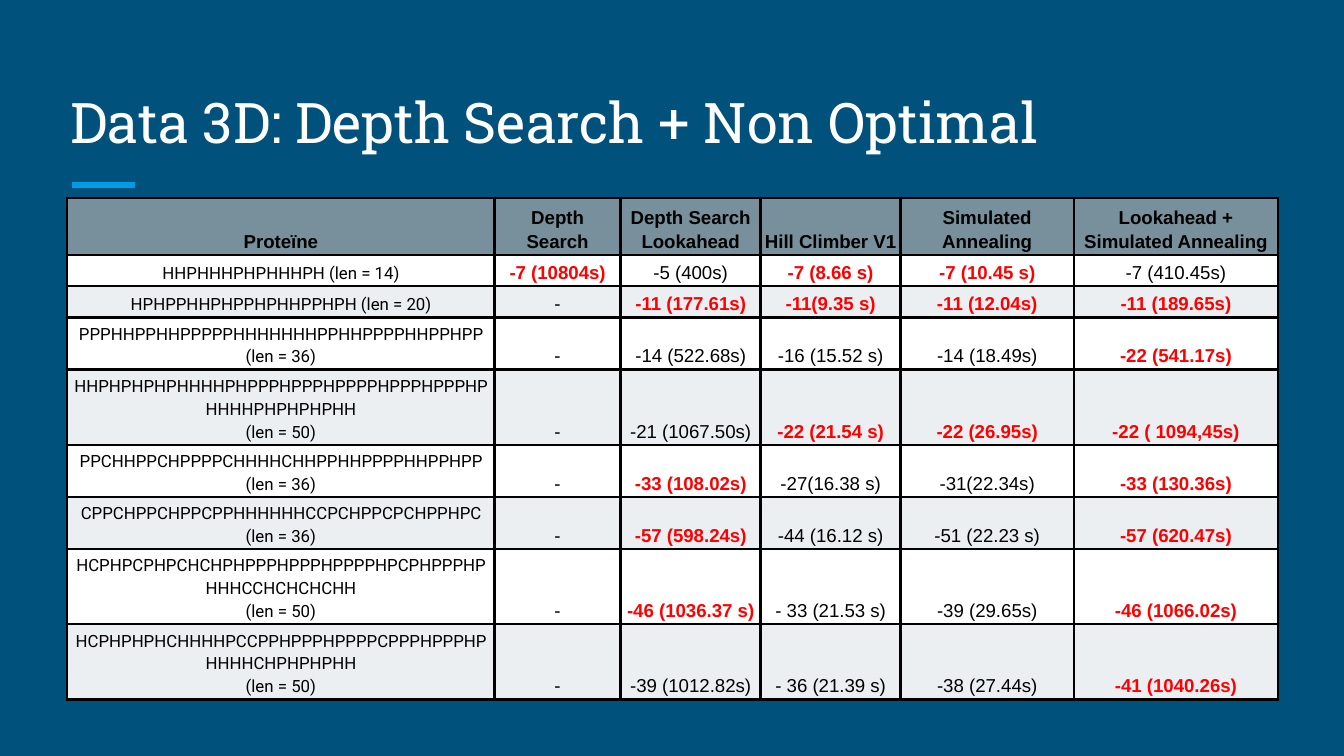
"""Build a slide with a table of 3D protein folding scores per algorithm."""
import pptx
import pptx.dml.color
import pptx.enum.shapes
import pptx.enum.text
import pptx.oxml
import pptx.oxml.ns
import pptx.util

Pt = pptx.util.Pt
COLORS = {
    "background": "00517C",
    "accent": "039BE5",
    "title": "FFFFFF",
    "header": "78909C",
    "odd": "FFFFFF",
    "even": "EBEFF1",
    "text": "000000",
    "best": "FF0000",
}
FORMATS = {
    "title": {"name": "Roboto Slab", "size": Pt(30), "bold": False},
    "header": {"name": "Arial", "size": Pt(10), "bold": True},
    "protein": {"name": "Roboto", "size": Pt(9), "bold": False},
    "score": {"name": "Arial", "size": Pt(10), "bold": False},
    "best": {"name": "Arial", "size": Pt(10), "bold": True},
}
CELL_FORMAT = {
    "margin_left": Pt(2.25),
    "margin_right": Pt(2.25),
    "margin_top": Pt(1.5),
    "margin_bottom": Pt(1.5),
    "vertical_anchor": pptx.enum.text.MSO_ANCHOR.BOTTOM,
}
TITLE_FORMAT = {
    "word_wrap": True,
    "vertical_anchor": pptx.enum.text.MSO_ANCHOR.BOTTOM,
    "margin_left": Pt(7.2),
    "margin_right": Pt(7.2),
    "margin_top": Pt(7.2),
    "margin_bottom": Pt(7.2),
}
COLUMN_WIDTHS = [228.9, 67.6, 75, 75, 92.8, 109.4]
ROW_HEIGHTS = [28, 16, 15.5, 27, 39.5, 27, 27, 39.5, 39.5]
HEADERS = ["Proteïne", "Depth Search", "Depth Search Lookahead", "Hill Climber V1",
           "Simulated Annealing", "Lookahead + Simulated Annealing"]
BEST_MARK = "*"
RESULTS = [
    ["HHPHHHPHPHHHPH (len = 14)",
     "*-7 (10804s)", "-5 (400s)", "*-7 (8.66 s)", "*-7 (10.45 s)", "-7 (410.45s)"],
    ["HPHPPHHPHPPHPHHPPHPH (len = 20)",
     "-", "*-11 (177.61s)", "*-11(9.35 s)", "*-11 (12.04s)", "*-11 (189.65s)"],
    ["PPPHHPPHHPPPPPHHHHHHHPPHHPPPPHHPPHPP\n(len = 36)",
     "-", "-14 (522.68s)", "-16 (15.52 s)", "-14 (18.49s)", "*-22 (541.17s)"],
    ["HHPHPHPHPHHHHPHPPPHPPPHPPPPHPPPHPPPHPHHHHPHPHPHPHH\n(len = 50)",
     "-", "-21 (1067.50s)", "*-22 (21.54 s)", "*-22 (26.95s)", "*-22 ( 1094,45s)"],
    ["PPCHHPPCHPPPPCHHHHCHHPPHHPPPPHHPPHPP\n(len = 36)",
     "-", "*-33 (108.02s)", "-27(16.38 s)", "-31(22.34s)", "*-33 (130.36s)"],
    ["CPPCHPPCHPPCPPHHHHHHCCPCHPPCPCHPPHPC\n(len = 36)",
     "-", "*-57 (598.24s)", "-44 (16.12 s)", "-51 (22.23 s)", "*-57 (620.47s)"],
    ["HCPHPCPHPCHCHPHPPPHPPPHPPPPHPCPHPPPHPHHHCCHCHCHCHH\n(len = 50)",
     "-", "*-46 (1036.37 s)", "- 33 (21.53 s)", "-39 (29.65s)", "*-46 (1066.02s)"],
    ["HCPHPHPHCHHHHPCCPPHPPPHPPPPCPPPHPPPHPHHHHCHPHPHPHH\n(len = 50)",
     "-", "-39 (1012.82s)", "- 36 (21.39 s)", "-38 (27.44s)", "*-41 (1040.26s)"],
]


def rgb(color):
    """Return the named color as an RGB value."""
    return pptx.dml.color.RGBColor.from_string(COLORS[color])


def apply_format(target, values):
    """Set every attribute in values on the target."""
    for attribute, value in values.items():
        setattr(target, attribute, value)


def add_title(slide, text):
    """Add the slide title."""
    shape = slide.shapes.add_textbox(Pt(30.5), Pt(36), Pt(659), Pt(54))
    apply_format(shape.text_frame, TITLE_FORMAT)
    shape.text_frame.text = text
    font = shape.text_frame.paragraphs[0].runs[0].font
    apply_format(font, FORMATS["title"])
    font.color.rgb = rgb("title")


def add_accent_line(slide):
    """Add the short line below the title."""
    line = slide.shapes.add_connector(
        pptx.enum.shapes.MSO_CONNECTOR.STRAIGHT, Pt(38.7), Pt(99.2), Pt(72.3), Pt(99.2))
    line.line.color.rgb = rgb("accent")
    line.line.width = Pt(3)
    properties = line._element.spPr
    properties.append(pptx.oxml.parse_xml(
        f'<a:effectLst {pptx.oxml.ns.nsdecls("a")}/>'))


def add_borders(cell):
    """Give a cell a solid border on all four sides."""
    properties = cell._tc.get_or_add_tcPr()
    for side in "LRTB":
        properties.append(pptx.oxml.parse_xml(
            f'<a:ln{side} {pptx.oxml.ns.nsdecls("a")} w="{int(Pt(1.5))}"><a:solidFill>'
            f'<a:srgbClr val="{COLORS["text"]}"/></a:solidFill></a:ln{side}>'))


def fill_cell(cell, text, kind, background):
    """Write and format one table cell."""
    apply_format(cell, CELL_FORMAT)
    add_borders(cell)
    cell.fill.solid()
    cell.fill.fore_color.rgb = rgb(background)
    cell.text_frame.text = text
    for paragraph in cell.text_frame.paragraphs:
        paragraph.alignment = pptx.enum.text.PP_ALIGN.CENTER
        paragraph.line_spacing = 1.15
        font = paragraph.runs[0].font
        apply_format(font, FORMATS[kind])
        font.color.rgb = rgb("best" if kind == "best" else "text")


def cell_kind(row, column, text):
    """Return the format name for a table cell."""
    if row == 0:
        return "header"
    if column == 0:
        return "protein"
    return "best" if text.startswith(BEST_MARK) else "score"


def add_results_table(slide):
    """Add the table of scores."""
    table = slide.shapes.add_table(
        len(ROW_HEIGHTS), len(COLUMN_WIDTHS), Pt(36), Pt(106),
        Pt(sum(COLUMN_WIDTHS)), Pt(sum(ROW_HEIGHTS))).table
    apply_format(table, {"first_row": False, "horz_banding": False})
    for column, width in zip(table.columns, COLUMN_WIDTHS):
        column.width = Pt(width)
    for row, height in zip(table.rows, ROW_HEIGHTS):
        row.height = Pt(height)
    for row, texts in enumerate([HEADERS, *RESULTS]):
        background = "header" if row == 0 else "odd" if row % 2 else "even"
        for column, text in enumerate(texts):
            fill_cell(table.cell(row, column), text.removeprefix(BEST_MARK),
                      cell_kind(row, column, text), background)


def main():
    """Build and save the presentation."""
    presentation = pptx.Presentation()
    apply_format(presentation, {"slide_width": Pt(720), "slide_height": Pt(405)})
    slide = presentation.slides.add_slide(presentation.slide_layouts[6])
    slide.background.fill.solid()
    slide.background.fill.fore_color.rgb = rgb("background")
    add_accent_line(slide)
    add_title(slide, "Data 3D: Depth Search + Non Optimal")
    add_results_table(slide)
    presentation.save("out.pptx")


if __name__ == "__main__":
    main()
